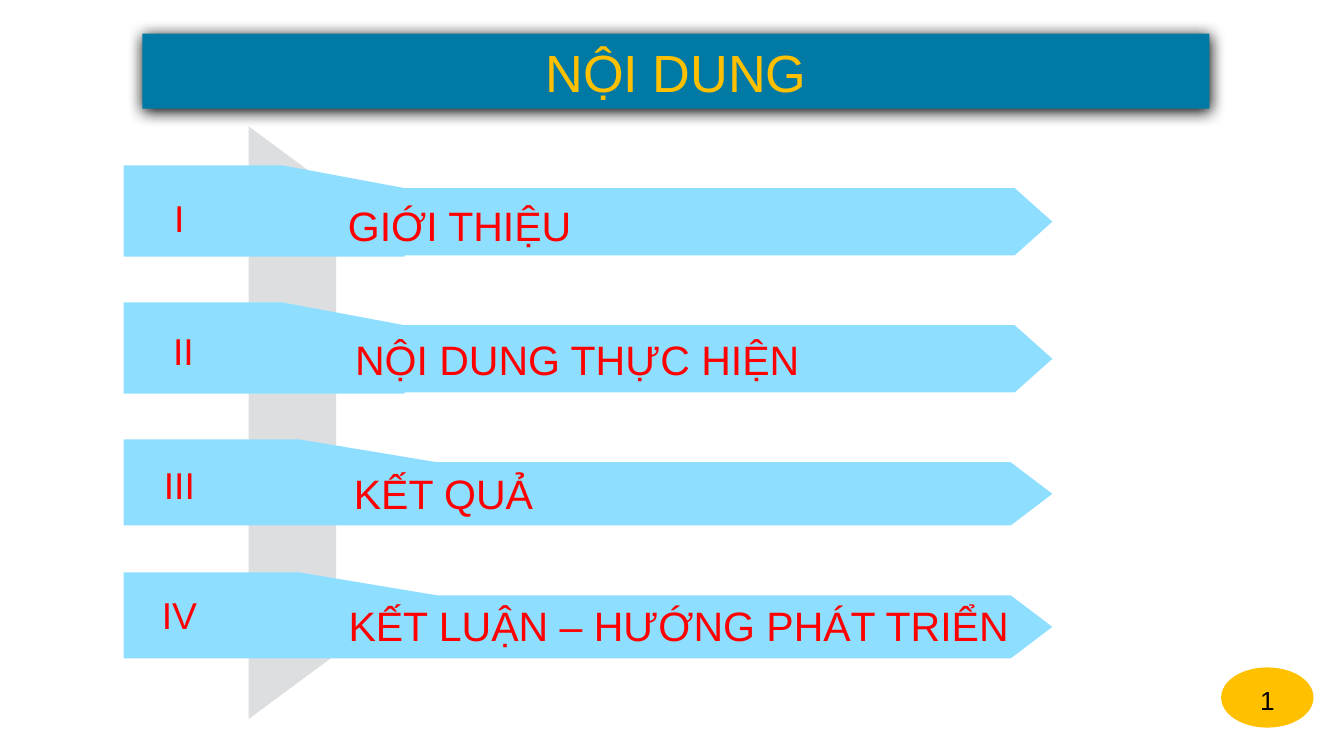
"""Build the contents slide with four arrow bands."""
from typing import NamedTuple

from lxml import etree
from pptx import Presentation
from pptx.dml.color import RGBColor
from pptx.enum.shapes import MSO_SHAPE
from pptx.enum.text import MSO_ANCHOR, MSO_AUTO_SIZE, PP_ALIGN
from pptx.oxml.ns import qn
from pptx.util import Inches, Pt

RECT, OVAL = MSO_SHAPE.RECTANGLE, MSO_SHAPE.OVAL
TOP, MIDDLE = MSO_ANCHOR.TOP, MSO_ANCHOR.MIDDLE
CENTER = PP_ALIGN.CENTER
GROW = MSO_AUTO_SIZE.SHAPE_TO_FIT_TEXT

FONT = "Arial"
BLUE, SKY, GREY = "0079A5", "8EDFFF", "DCDEE0"
GOLD, RED, BLACK = "FFC000", "FF0000", "000000"
LEFT, TIP = 0.92, 7.83


class Box(NamedTuple):
    """Place and size in inches."""
    left: float
    top: float
    width: float
    height: float


class Band(NamedTuple):
    """Outline of an arrow band."""
    height: float
    fold: float
    bend: float
    neck: float
    base: float


class Row(NamedTuple):
    """One entry of the contents."""
    top: float
    band: Band
    mark: str
    mark_box: Box
    title: str
    title_box: Box


TALL = Band(0.68, 2.1, 3.01, 7.55, 0.67)
SHORT = Band(0.64, 2.23, 3.25, 7.52, 0.64)
ROWS = [
    Row(1.23, TALL, "I", Box(1.03, 1.4, 0.61, 0.44),
        "GIỚI THIỆU", Box(2.48, 1.44, 1.88, 0.47)),
    Row(2.25, TALL, "II", Box(1.06, 2.39, 0.61, 0.44),
        "NỘI DUNG THỰC HIỆN", Box(2.5, 2.44, 3.59, 0.47)),
    Row(3.27, SHORT, "III", Box(1.03, 3.39, 0.61, 0.44),
        "KẾT QUẢ", Box(2.48, 3.44, 1.64, 0.47)),
    Row(4.26, SHORT, "IV", Box(1.03, 4.36, 0.61, 0.44),
        "KẾT LUẬN – HƯỚNG PHÁT TRIỂN", Box(2.42, 4.42, 5.26, 0.47)),
]


def color(code: str) -> RGBColor:
    """Turn a hex string into a colour."""
    return RGBColor.from_string(code)


def paint(shape, fill: str) -> None:
    """Give a shape a plain fill with no line or shadow."""
    shape.shadow.inherit = False
    shape.fill.solid()
    shape.fill.fore_color.rgb = color(fill)
    shape.line.fill.background()


def write(shape, text: str, size: float, code: str) -> None:
    """Write one centred run."""
    para = shape.text_frame.paragraphs[0]
    para.alignment = CENTER
    run = para.add_run()
    run.text = text
    run.font.name = FONT
    run.font.size = Pt(size)
    run.font.color.rgb = color(code)


def label(slide, box: Box, text: str, size: float, wrap: bool) -> None:
    """Add a red text box."""
    shape = slide.shapes.add_textbox(*map(Inches, box))
    shape.text_frame.word_wrap = wrap
    shape.text_frame.auto_size = GROW
    write(shape, text, size, RED)


def outline(slide, points: list[tuple[float, float]], fill: str) -> None:
    """Draw a closed polygon."""
    spots = [(Inches(x), Inches(y)) for x, y in points]
    pen = slide.shapes.build_freeform(*spots[0])
    pen.add_line_segments(spots[1:], close=True)
    paint(pen.convert_to_shape(), fill)


def ribbon(slide, top: float, band: Band) -> None:
    """Draw an arrow band that folds in from the left."""
    shaft, base, foot = top + 0.17, top + band.base, top + band.height
    outline(slide, [
        (LEFT, top), (band.fold, top), (band.bend, shaft),
        (band.neck, shaft), (TIP, (shaft + base) / 2), (band.neck, base),
        (band.bend, base), (band.bend, foot), (LEFT, foot),
    ], SKY)


def shade(shape) -> None:
    """Add a soft black shadow below a shape."""
    effects = shape.element.spPr.find(qn("a:effectLst"))
    shadow = etree.SubElement(
        effects, qn("a:outerShdw"), blurRad=str(Pt(8.5)), dist=str(Pt(1)),
        dir="5400000", algn="ctr", rotWithShape="0")
    etree.SubElement(shadow, qn("a:srgbClr"), val=BLACK)


def header(slide) -> None:
    """Draw the title bar."""
    bar = slide.shapes.add_shape(RECT, *map(Inches, Box(1.06, 0.25, 7.94, 0.56)))
    paint(bar, BLUE)
    shade(bar)
    frame = bar.text_frame
    frame.vertical_anchor = MIDDLE
    frame.margin_left = frame.margin_right = Inches(0.06)
    frame.margin_top = frame.margin_bottom = Inches(0.06)
    write(bar, "NỘI DUNG", 28, GOLD)


def badge(slide) -> None:
    """Draw the page number."""
    disc = slide.shapes.add_shape(OVAL, *map(Inches, Box(9.1, 4.98, 0.66, 0.42)))
    paint(disc, GOLD)
    disc.line.color.rgb = color(GOLD)
    disc.line.width = Pt(2)
    disc.text_frame.vertical_anchor = TOP
    write(disc, "1", 14, BLACK)


def main() -> None:
    """Build and save the slide."""
    deck = Presentation()
    deck.slide_width = Inches(10)
    deck.slide_height = Inches(10 * 9 / 16)
    slide = deck.slides.add_slide(deck.slide_layouts[6])
    outline(slide, [(1.85, 0.94), (2.5, 1.42), (2.5, 4.87), (1.85, 5.35)], GREY)
    header(slide)
    for row in ROWS:
        ribbon(slide, row.top, row.band)
        label(slide, row.mark_box, row.mark, 20, True)
        label(slide, row.title_box, row.title, 22, False)
    badge(slide)
    deck.save("out.pptx")


if __name__ == "__main__":
    main()
